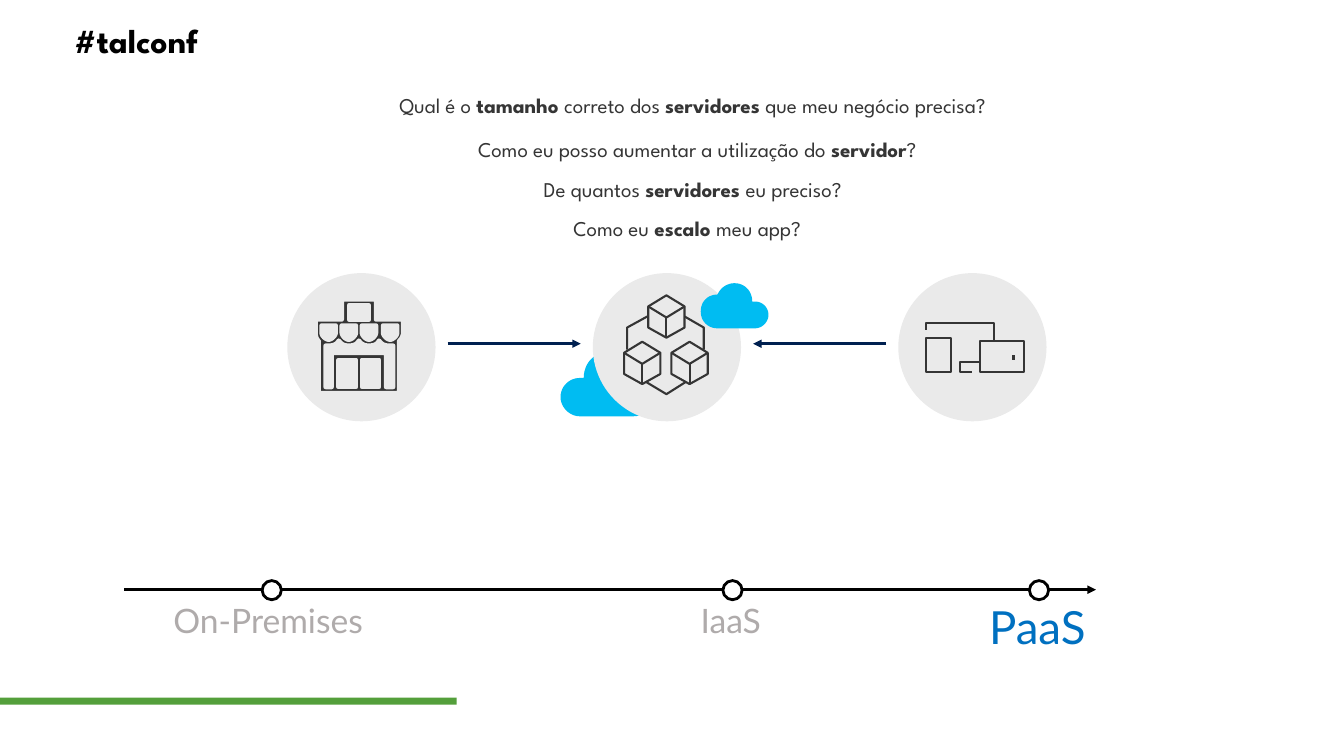
import pptx
import pptx.dml.color
import pptx.enum.shapes
import pptx.enum.text
import pptx.oxml
import pptx.oxml.ns
import pptx.util

PX = 9144
SHAPE = pptx.enum.shapes.MSO_SHAPE
ALIGN = pptx.enum.text.PP_ALIGN


def rgb(value):
    return pptx.dml.color.RGBColor.from_string(value)


def flatten(path, steps=12):
    points = [path[0]]
    for part in path[1:]:
        if len(part) == 2:
            points.append(part)
            continue
        x0, y0 = points[-1]
        x1, y1, x2, y2, x3, y3 = part
        for i in range(1, steps + 1):
            t = i / steps
            a, b, c, d = (1 - t) ** 3, 3 * t * (1 - t) ** 2, 3 * t * t * (1 - t), t ** 3
            points.append((a * x0 + b * x1 + c * x2 + d * x3,
                           a * y0 + b * y1 + c * y2 + d * y3))
    return points


def box(left, top, right, bottom):
    return [(left, top), (right, top), (right, bottom), (left, bottom)]


class Deck:
    ink = "353535"
    disc = "EAEAEA"
    sky = "00BCF2"
    navy = "002050"
    heading_font = "League Spartan"
    label_font = "Lato"

    def __init__(self, width, height):
        self.prs = pptx.Presentation()
        self.prs.slide_width = width * PX
        self.prs.slide_height = height * PX
        self.s = self.prs.slides.add_slide(self.prs.slide_layouts[6])
        self.shapes = self.s.shapes

    def start_group(self):
        self.shapes = self.s.shapes.add_group_shape().shapes

    def end_group(self):
        self.shapes = self.s.shapes

    def paint(self, sp, fill, line, weight):
        sp.shadow.inherit = False
        if fill:
            sp.fill.solid()
            sp.fill.fore_color.rgb = rgb(fill)
        else:
            sp.fill.background()
        if line:
            sp.line.color.rgb = rgb(line)
            sp.line.width = pptx.util.Pt(weight)
        else:
            sp.line.fill.background()

    def shape(self, kind, x, y, w, h, fill=None, line=None, weight=1.5):
        sp = self.shapes.add_shape(kind, x * PX, y * PX, w * PX, h * PX)
        self.paint(sp, fill, line, weight)

    def outline(self, *paths, fill=None, line=None, weight=1.5, close=True):
        builder = None
        for path in paths:
            points = [(x * PX, y * PX) for x, y in flatten(path)]
            if builder is None:
                builder = self.shapes.build_freeform(*points[0], scale=1.0)
            else:
                builder.move_to(*points[0])
            builder.add_line_segments(points[1:], close=close)
        self.paint(builder.convert_to_shape(), fill, line, weight)

    def stroke(self, *points):
        self.outline(points, line=self.ink, close=False)

    def line(self, x1, y1, x2, y2, color, weight=2, arrow=False):
        sp = self.shapes.add_connector(pptx.enum.shapes.MSO_CONNECTOR.STRAIGHT,
                                       x1 * PX, y1 * PX, x2 * PX, y2 * PX)
        sp.line.color.rgb = rgb(color)
        sp.line.width = pptx.util.Pt(weight)
        if arrow:
            ln = sp.line._get_or_add_ln()
            ln.append(pptx.oxml.parse_xml(
                '<a:tailEnd %s type="triangle"/>' % pptx.oxml.ns.nsdecls("a")))
        sp._element.spPr.append(pptx.oxml.parse_xml(
            "<a:effectLst %s/>" % pptx.oxml.ns.nsdecls("a")))

    def text(self, x, y, w, h, text, size, font, color, align=ALIGN.LEFT, wrap=True):
        sp = self.shapes.add_textbox(x * PX, y * PX, w * PX, h * PX)
        tf = sp.text_frame
        tf.word_wrap = wrap
        tf.auto_size = pptx.enum.text.MSO_AUTO_SIZE.SHAPE_TO_FIT_TEXT
        p = tf.paragraphs[0]
        p.alignment = align
        for i, part in enumerate(text.split("*")):
            if part:
                r = p.add_run()
                r.text = part
                r.font.size = pptx.util.Pt(size)
                r.font.name = font
                r.font.bold = i % 2 == 1
                r.font.color.rgb = rgb(color)
        return tf

    def label(self, x, w, h, text, size, color):
        tf = self.text(x, 584, w, h, text, size, self.label_font, color, wrap=False)
        tf.margin_left = tf.margin_right = 20 * PX
        tf.margin_top = tf.margin_bottom = 16 * PX
        tf.paragraphs[0].line_spacing = 0.9
        tf.paragraphs[0].space_after = pptx.util.Pt(6)

    def cloud(self, x, y, scale=1, flip=False):
        path = [(23, 26), (23, 11, 34, 0, 48, 0), (58, 0, 68, 6, 72, 16),
                (86, 16, 96, 26, 96, 40), (96, 54, 86, 64, 72, 64), (19, 64),
                (9, 64, 0, 55, 0, 45), (0, 34, 9, 26, 19, 26)]
        placed = []
        for part in path:
            xs = [x + scale * (96 - v if flip else v) for v in part[::2]]
            ys = [y + scale * v for v in part[1::2]]
            placed.append([v for pair in zip(xs, ys) for v in pair])
        self.outline(placed, fill=self.sky)

    def badge(self, column):
        self.start_group()
        self.shape(SHAPE.OVAL, 285 + 303 * column, 271, 147, 147, self.disc)

    def cube(self, x, y):
        left, right = x - 18, x + 18
        self.outline([(left, y + 11), (x, y), (right, y + 11),
                      (right, y + 32), (x, y + 42), (left, y + 32)], line=self.ink)
        self.stroke((right, y + 11), (x, y + 22), (left, y + 11))
        self.line(x, y + 22, x, y + 42, self.ink, 1.5)

    def cluster(self):
        self.badge(1)
        for x, y in ((684, 339), (637, 339), (661, 293)):
            self.cube(x, y)
        self.stroke((680, 379), (661, 391), (641, 379))
        self.stroke((679, 314), (698, 325), (698, 347))
        self.stroke((622, 347), (622, 325), (642, 314))
        self.end_group()

    def store(self):
        self.badge(0)
        silhouette = [(316, 390), (396, 390), (396, 338), (398, 337, 400, 333, 400, 330),
                      (400, 317), (373, 317), (373, 297), (339, 297), (339, 317),
                      (313, 317), (313, 330), (313, 333, 314, 337, 316, 338)]
        wall = [(383, 384), (383, 350), (329, 350), (329, 384), (323, 384),
                (323, 343), (326, 343), (330, 343, 334, 342, 336, 338)]
        for x in (336, 356):
            wall += [(x + 3, 342, x + 6, 343, x + 10, 343),
                     (x + 14, 343, x + 18, 342, x + 20, 338)]
        wall += [(379, 342, 382, 343, 386, 343), (390, 343), (390, 384)]
        awnings = [[(x, 323), (x + 14, 323), (x + 14, 330),
                    (x + 14, 333, x + 10, 337, x + 7, 337),
                    (x + 4, 337, x, 333, x, 330)] for x in (319, 339, 359, 380)]
        doors = [box(x, 357, x + 17, 384) for x in (336, 359)]
        self.outline(silhouette, *doors, wall, *awnings, box(346, 303, 366, 317),
                     fill=self.ink, line=self.disc, weight=3.25)
        self.end_group()

    def devices(self):
        self.badge(2)
        self.shape(SHAPE.RECTANGLE, 918, 335, 25, 34, line=self.ink)
        self.shape(SHAPE.RECTANGLE, 972, 338, 44, 31, line=self.ink)
        self.line(1005, 357, 1005, 352, self.ink)
        self.stroke((972, 359), (952, 359), (952, 369), (964, 369))
        self.stroke((918, 327), (918, 320), (986, 320), (986, 338))
        self.end_group()


def main():
    deck = Deck(1333, 750)
    deck.shape(SHAPE.RECTANGLE, 0, 692, 453, 7, "549F3B")
    deck.text(64, 15, 186, 41, "*#talconf*", 24, deck.heading_font, "000000")

    deck.label(961, 139, 83, "PaaS", 32.6, "0070C0")
    deck.label(675, 103, 69, "IaaS", 24, "AFABAB")
    deck.label(152, 233, 69, "On-Premises", 24, "AFABAB")
    deck.line(123, 585, 1087, 585, "000000", arrow=True)
    for x in (260, 717, 1021):
        deck.shape(SHAPE.OVAL, x, 576, 19, 19, "FFFFFF", "000000", 2)

    deck.cloud(556, 349)
    deck.cluster()
    deck.store()
    deck.devices()
    deck.line(444, 341, 576, 341, deck.navy, arrow=True)
    deck.line(879, 341, 747, 341, deck.navy, arrow=True)
    deck.cloud(695, 281, 0.7, flip=True)

    questions = [
        (315, 87, 744, "Qual é o *tamanho *correto dos *servidores* que meu negócio precisa?"),
        (380, 131, 623, "Como eu posso aumentar a utilização do *servidor*?"),
        (476, 170, 422, "De quantos *servidores *eu preciso?"),
        (499, 209, 365, "Como eu *escalo *meu app?"),
    ]
    for x, y, w, question in questions:
        deck.text(x, y, w, 35, question, 15, deck.heading_font, deck.ink, ALIGN.CENTER)

    deck.prs.save("out.pptx")


if __name__ == "__main__":
    main()
